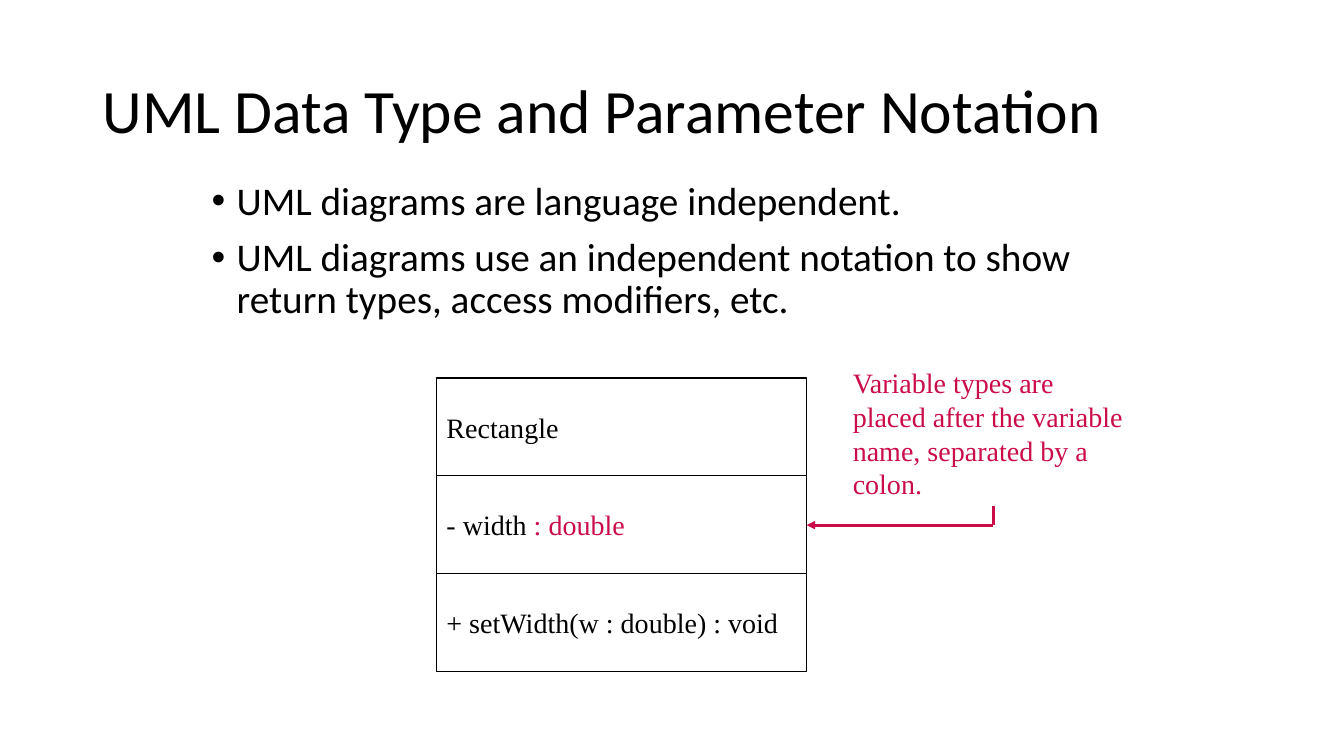
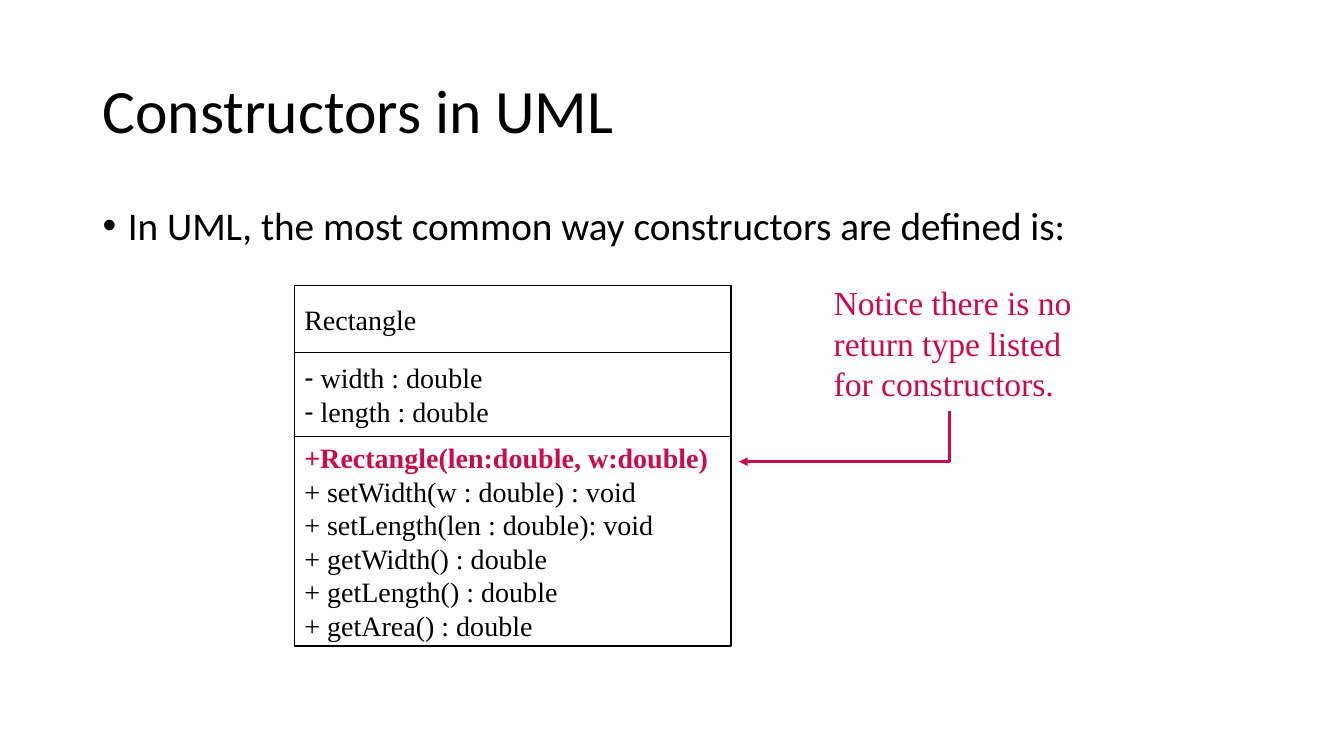
from dataclasses import dataclass

from lxml.etree import SubElement
from pptx import Presentation
from pptx.dml.color import RGBColor
from pptx.enum.shapes import MSO_CONNECTOR, MSO_SHAPE
from pptx.enum.text import MSO_ANCHOR, PP_ALIGN
from pptx.oxml.ns import qn
from pptx.util import Inches, Pt


@dataclass(frozen=True)
class Theme:
    ink: RGBColor = RGBColor(0, 0, 0)
    paper: RGBColor = RGBColor(255, 255, 255)
    accent: RGBColor = RGBColor(0xCA, 0x0C, 0x48)
    sans: str = "Calibri"
    serif: str = "Times New Roman"
    title: int = 44
    body: int = 28
    code: int = 20


T = Theme()
WIDE, HIGH = 13.33, 7.5
TITLE = (0.92, 0.4, 11.5, 1.45)

# Content: a row is (height, lines, bullet), a line is a list of (text, style)
SLIDES = [
    {
        "title": "UML Data Type and Parameter Notation",
        "body": (2, 1.75, 9.07, 1.94),
        "points": [
            "UML diagrams are language independent.",
            "UML diagrams use an independent notation to show return types, access modifiers, etc.",
        ],
        "class": (4.33, 3.75, 3.67),
        "rows": [
            (0.97, [[("Rectangle", "")]], None),
            (0.97, [[("- width ", ""), (": double", "accent")]], None),
            (0.97, [[("+ setWidth(w : double) : void", "")]], None),
        ],
        "note": (8.36, 3.58, 2.97, 1.43),
        "words": ["Variable types are placed after the variable name, separated by a colon."],
        "size": 20,
        "arrow": [(9.85, 5.02), (9.85, 5.21), (8, 5.21)],
    },
    {
        "title": "Constructors in UML",
        "body": (0.92, 2, 11.5, 4.76),
        "points": ["In UML, the most common way constructors are defined is:"],
        "class": (2.92, 2.83, 4.33),
        "rows": [
            (0.67, [[("Rectangle", "")]], None),
            (0.83, [[(" width : double", "")], [(" length : double", "")]], "-"),
            (2.08, [
                [("+Rectangle(len:double, w:double)", "accent bold")],
                [("+ setWidth(w : double) : void", "")],
                [("+ setLength(len : double): void", "")],
                [("+ getWidth() : double", "")],
                [("+ getLength() : double", "")],
                [("+ getArea() : double", "")],
            ], None),
        ],
        "note": (8.17, 2.75, 2.8, 1.31),
        "words": ["Notice there is no", "return type listed", "for constructors."],
        "size": 24,
        "arrow": [(9.42, 4.08), (9.42, 4.58), (7.33, 4.58)],
    },
]


def style(font, face, size, color, bold=False):
    font.name, font.size, font.bold = face, Pt(size), bold
    font.color.rgb = color


def bullet(para, mark, hang=0):
    props = para._p.get_or_add_pPr()
    props.set("marL", str(Inches(hang)))
    props.set("indent", str(-Inches(hang)))
    SubElement(props, qn("a:buFont"), typeface="Arial")
    SubElement(props, qn("a:buChar"), char=mark)


def paras(frame, lines):
    """Yield one paragraph of the frame for each line."""
    for i, line in enumerate(lines):
        yield (frame.add_paragraph() if i else frame.paragraphs[0]), line


def write(slide, place, lines, face, size, color, mark=None, lead=1.0, gap=0):
    frame = slide.shapes.add_textbox(*map(Inches, place)).text_frame
    frame.word_wrap = True
    for i, (para, line) in enumerate(paras(frame, lines)):
        para.text = line
        para.line_spacing = lead
        if i:
            para.space_before = Pt(gap)
        if mark:
            bullet(para, mark, 0.25)
        style(para.runs[0].font, face, size, color)
    return frame


def compartment(slide, place, lines, mark):
    box = slide.shapes.add_shape(MSO_SHAPE.RECTANGLE, *map(Inches, place))
    box.shadow.inherit = False
    box.fill.solid()
    box.fill.fore_color.rgb = T.paper
    box.line.color.rgb = T.ink
    box.line.width = Pt(1)
    frame = box.text_frame
    frame.word_wrap = True
    frame.vertical_anchor = MSO_ANCHOR.MIDDLE
    for para, line in paras(frame, lines):
        para.alignment = PP_ALIGN.LEFT
        if mark:
            bullet(para, mark)
        for text, look in line:
            run = para.add_run()
            run.text = text
            color = T.accent if "accent" in look else T.ink
            style(run.font, T.serif, T.code, color, "bold" in look)


def arrow(slide, points):
    """Join the points with straight lines; the last one gets the head."""
    for start, end in zip(points, points[1:]):
        line = slide.shapes.add_connector(
            MSO_CONNECTOR.STRAIGHT, *map(Inches, start + end))
        line.line.color.rgb = T.accent
        line.line.width = Pt(2)
        if end == points[-1]:
            SubElement(line.line._get_or_add_ln(), qn("a:tailEnd"), type="triangle")
        SubElement(line._element.spPr, qn("a:effectLst"))


def build(deck, data):
    slide = deck.slides.add_slide(deck.slide_layouts[6])

    # Title and bullet points
    head = write(slide, TITLE, [data["title"]], T.sans, T.title, T.ink, lead=0.9)
    head.vertical_anchor = MSO_ANCHOR.MIDDLE
    write(slide, data["body"], data["points"], T.sans, T.body, T.ink,
          mark="•", lead=0.9, gap=10)

    # Class diagram, stacked from the top
    left, top, width = data["class"]
    for height, lines, mark in data["rows"]:
        compartment(slide, (left, top, width, height), lines, mark)
        top += height

    # Callout
    write(slide, data["note"], data["words"], T.serif, data["size"], T.accent)
    arrow(slide, data["arrow"])


def main():
    deck = Presentation()
    deck.slide_width, deck.slide_height = Inches(WIDE), Inches(HIGH)
    for data in SLIDES:
        build(deck, data)
    deck.save("out.pptx")


if __name__ == "__main__":
    main()
